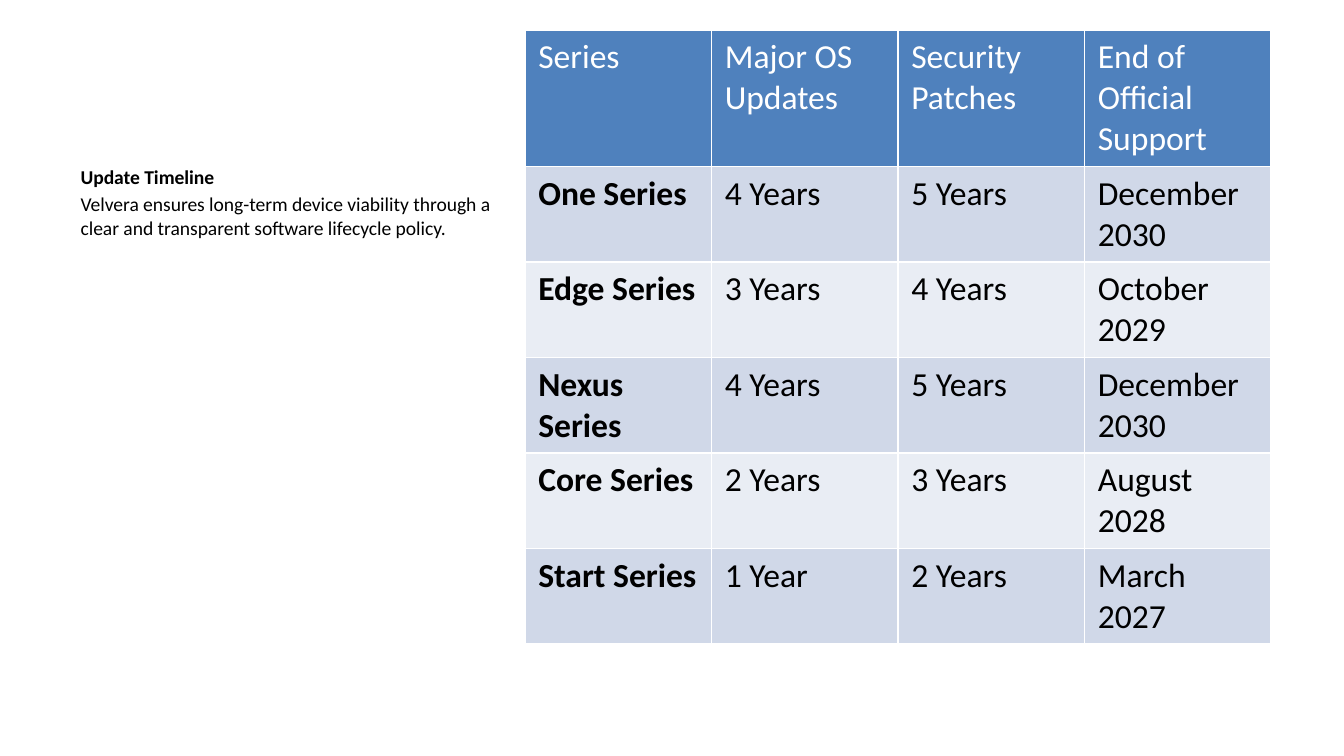
"""Build a slide showing the software update timeline of each device series."""
import pptx
import pptx.dml.color
import pptx.enum.text
import pptx.util

COLORS = {
    "text": "000000",
    "header_text": "FFFFFF",
    "header": "4F81BD",
    "band_dark": "D0D8E8",
    "band_light": "E9EDF4",
}

ROWS = [
    ("Series", "Major OS Updates", "Security Patches", "End of Official Support"),
    ("One Series", "4 Years", "5 Years", "December 2030"),
    ("Edge Series", "3 Years", "4 Years", "October 2029"),
    ("Nexus Series", "4 Years", "5 Years", "December 2030"),
    ("Core Series", "2 Years", "3 Years", "August 2028"),
    ("Start Series", "1 Year", "2 Years", "March 2027"),
]


class SlideBuilder:
    """Hold the style and the current slide."""

    font_name = "Calibri"
    body_size = 10.5
    table_size = 18

    def __init__(self, presentation, layout_index):
        """Add a slide that uses the given layout."""
        self.width = presentation.slide_width
        self.height = presentation.slide_height
        layout = presentation.slide_layouts[layout_index]
        self.slide = presentation.slides.add_slide(layout)

    def box(self, left, top, width, height):
        """Turn percentages of the slide into lengths."""
        return (int(left * self.width / 100), int(top * self.height / 100),
                int(width * self.width / 100), int(height * self.height / 100))

    def format(self, paragraph, size, color, bold):
        """Set the font of a paragraph."""
        font = paragraph.font
        font.name = self.font_name
        font.size = pptx.util.Pt(size)
        font.bold = bold
        font.color.rgb = pptx.dml.color.RGBColor.from_string(COLORS[color])

    def body(self, index, heading, text, area):
        """Fill the body placeholder with a bold heading and a text."""
        shape = self.slide.placeholders[index]
        shape.left, shape.top, shape.width, shape.height = self.box(*area)
        frame = shape.text_frame
        frame.auto_size = pptx.enum.text.MSO_AUTO_SIZE.NONE
        frame.text = f"{heading}\n{text}"
        first, second = frame.paragraphs
        first.space_before = pptx.util.Pt(0)
        self.format(first, self.body_size, "text", True)
        self.format(second, self.body_size, "text", False)

    def table(self, rows, area, column_width):
        """Add a banded table whose rows grow to fit their text."""
        table = self.slide.shapes.add_table(
            len(rows), len(rows[0]), *self.box(*area)).table
        for column in table.columns:
            column.width = int(column_width * self.width / 100)
        for row_index, values in enumerate(rows):
            table.rows[row_index].height = 0
            is_header = row_index == 0
            band = "band_dark" if row_index % 2 else "band_light"
            fill = "header" if is_header else band
            color = "header_text" if is_header else "text"
            for column_index, value in enumerate(values):
                cell = table.cell(row_index, column_index)
                cell.text = value
                cell.fill.solid()
                cell.fill.fore_color.rgb = pptx.dml.color.RGBColor.from_string(COLORS[fill])
                bold = not is_header and column_index == 0
                self.format(cell.text_frame.paragraphs[0], self.table_size, color, bold)

    def remove_empty_placeholders(self):
        """Remove the placeholders that hold no text."""
        for shape in list(self.slide.placeholders):
            if not shape.text_frame.text:
                shape.element.getparent().remove(shape.element)


def main():
    """Build and save the presentation."""
    presentation = pptx.Presentation()
    presentation.slide_width = pptx.util.Inches(10)
    presentation.slide_height = presentation.slide_width * 9 // 16
    builder = SlideBuilder(presentation, 7)
    builder.body(
        2,
        "Update Timeline",
        "Velvera ensures long-term device viability through a clear and "
        "transparent software lifecycle policy.",
        (5, 20.92, 32.9, 68.4),
    )
    builder.table(ROWS, (39.05, 3.98, 55.8, 85.2), 13.88)
    builder.remove_empty_placeholders()
    presentation.save("out.pptx")


if __name__ == "__main__":
    main()
